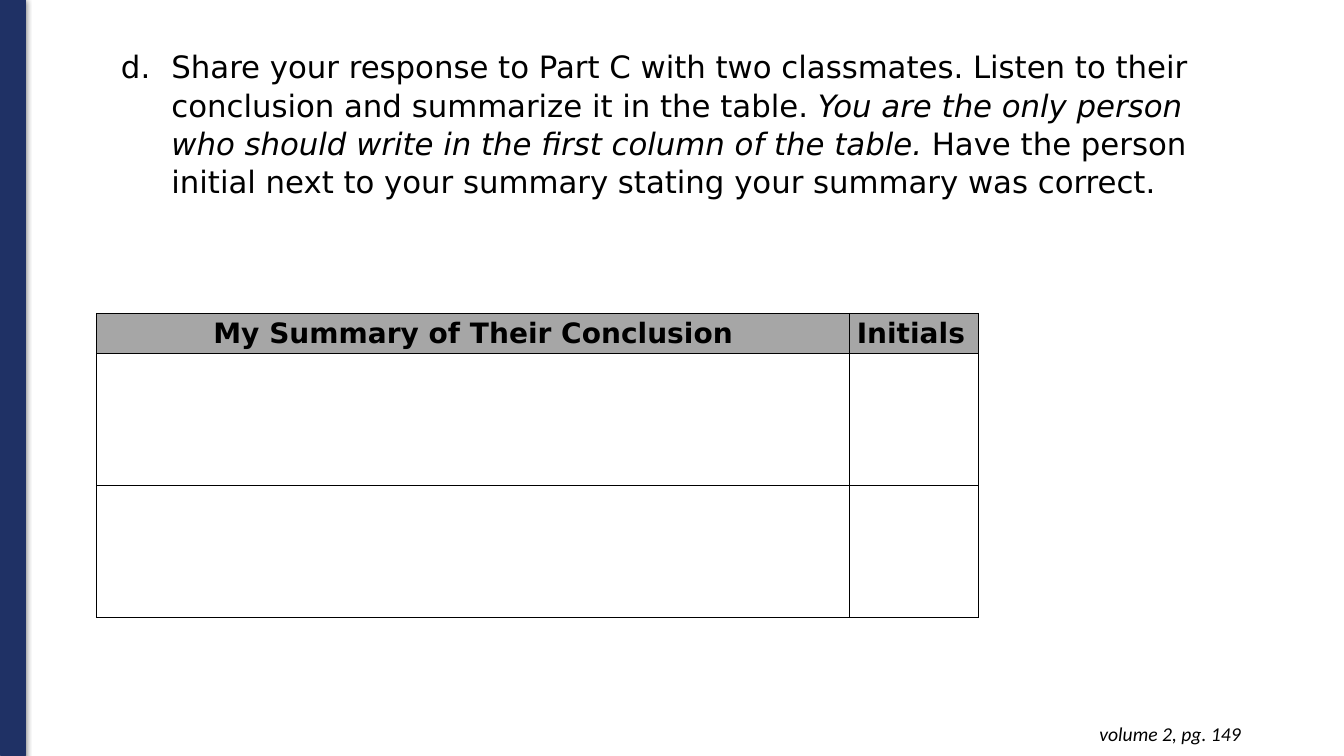
from pptx import Presentation
from pptx.dml.color import RGBColor
from pptx.enum.shapes import MSO_SHAPE as Preset
from pptx.enum.text import MSO_ANCHOR as Anchor, MSO_AUTO_SIZE as AutoSize, PP_ALIGN as Align
from pptx.oxml import parse_xml
from pptx.oxml.ns import nsdecls
from pptx.util import Inches, Pt

NAVY, GRAY, BLACK = "1F3165", "A6A6A6", "000000"
COLUMNS, ROWS = 40, 30


def color(hex_value):
    return RGBColor.from_string(hex_value)


def element(tag, attributes="", content=""):
    """Build one DrawingML element."""
    return parse_xml(f"<a:{tag} {nsdecls('a')} {attributes}>{content}</a:{tag}>")


class WorksheetSlide:
    """Draws on one slide; lengths are columns and rows of a 40 by 30 grid."""
    font_name = "DejaVu Sans"

    def __init__(self, presentation):
        self.column = presentation.slide_width / COLUMNS
        self.row = presentation.slide_height / ROWS
        self.slide = presentation.slides.add_slide(presentation.slide_layouts[1])
        title = self.slide.shapes.title
        title.element.getparent().remove(title.element)

    def box(self, left, top, width, height):
        return (round(left * self.column), round(top * self.row),
                round(width * self.column), round(height * self.row))

    def add_text(self, paragraph, text, size, bold=False, italic=False, font_name=None):
        run = paragraph.add_run()
        run.text = text
        font = run.font
        font.name = font_name or self.font_name
        font.size, font.bold, font.italic = Pt(size), bold, italic
        font.color.rgb = color(BLACK)

    def side_bar(self, *place):
        bar = self.slide.shapes.add_shape(Preset.RECTANGLE, *self.box(*place))
        bar.fill.solid()
        bar.fill.fore_color.rgb = color(NAVY)
        bar.line.color.rgb = color(NAVY)
        bar.line.width = Pt(0.75)
        shadow = element(
            "outerShdw",
            f'blurRad="{Pt(4.5)}" dist="{Pt(1.5)}" dir="5400000" rotWithShape="0"',
            f'<a:srgbClr val="{BLACK}"><a:alpha val="50000"/></a:srgbClr>')
        effects = element("effectLst")
        effects.append(shadow)
        bar.element.spPr.append(effects)

    def lettered_task(self, place, start, runs):
        """Fill the body placeholder with one lettered item of (text, italic) runs."""
        body = self.slide.placeholders[1]
        body.left, body.top, body.width, body.height = self.box(*place)
        frame = body.text_frame
        frame.word_wrap = True
        frame.auto_size = AutoSize.SHAPE_TO_FIT_TEXT
        frame.vertical_anchor = Anchor.TOP
        paragraph = frame.paragraphs[0]
        properties = paragraph._p.get_or_add_pPr()
        properties.set("marL", str(Inches(1)))
        properties.set("indent", str(Inches(-0.5)))
        properties.append(element("buClr", content=f'<a:srgbClr val="{BLACK}"/>'))
        properties.append(element("buFont", f'typeface="{self.font_name}"'))
        properties.append(element("buAutoNum", f'type="alphaLcPeriod" startAt="{start}"'))
        paragraph.space_before = Pt(0)
        paragraph.line_spacing = 1.04
        for text, italic in runs:
            self.add_text(paragraph, text, 22, italic=italic)

    def table(self, left, top, widths, heights, headings):
        place = self.box(left, top, sum(widths), sum(heights))
        table = self.slide.shapes.add_table(len(heights), len(widths), *place).table
        table.first_row = table.horz_banding = False
        for column, width in zip(table.columns, widths):
            column.width = round(width * self.column)
        for row, height in zip(table.rows, heights):
            row.height = round(height * self.row)
        for cell in table.iter_cells():
            self.border(cell)
            cell.fill.background()
        for cell, (text, alignment) in zip(table.rows[0].cells, headings):
            cell.fill.solid()
            cell.fill.fore_color.rgb = color(GRAY)
            cell.vertical_anchor = Anchor.MIDDLE
            cell.margin_left = cell.margin_right = Inches(0.07)
            cell.margin_top = cell.margin_bottom = 0
            paragraph = cell.text_frame.paragraphs[0]
            paragraph.alignment = alignment
            self.add_text(paragraph, text, 20, bold=True)

    def border(self, cell):
        properties = cell._tc.get_or_add_tcPr()
        for side in "LRTB":
            properties.append(element(
                f"ln{side}", f'w="{Pt(1)}"',
                f'<a:solidFill><a:srgbClr val="{BLACK}"/></a:solidFill>'))

    def page_reference(self, place, text):
        frame = self.slide.shapes.add_textbox(*self.box(*place)).text_frame
        frame.word_wrap = True
        frame.auto_size = AutoSize.SHAPE_TO_FIT_TEXT
        frame.margin_left = frame.margin_right = Inches(0.1)
        frame.margin_top = frame.margin_bottom = Inches(0.1)
        paragraph = frame.paragraphs[0]
        paragraph.alignment = Align.RIGHT
        self.add_text(paragraph, text, 14, italic=True, font_name="Calibri")


def main():
    presentation = Presentation()
    presentation.slide_width, presentation.slide_height = Inches(13.33), Inches(7.5)
    worksheet = WorksheetSlide(presentation)
    worksheet.side_bar(0.03, -0.04, 0.72, 30.04)
    worksheet.lettered_task((1.8, 1.64, 35.76, 6.32), 4, [
        ("Share your response to Part C with two classmates. Listen to their "
         "conclusion and summarize it in the table. ", False),
        ("You are the only person who should write in the first column of the table.", True),
        (" Have the person initial next to your summary stating your summary "
         "was correct.", False),
    ])
    worksheet.table(2.88, 12.44, [22.41, 3.84], [1.6, 5.24, 5.24], [
        ("My Summary of Their Conclusion", Align.CENTER),
        ("Initials", Align.LEFT),
    ])
    worksheet.page_reference((28.59, 28.24, 8.64, 1.76), "volume 2, pg. 149")
    presentation.save("out.pptx")


if __name__ == "__main__":
    main()
